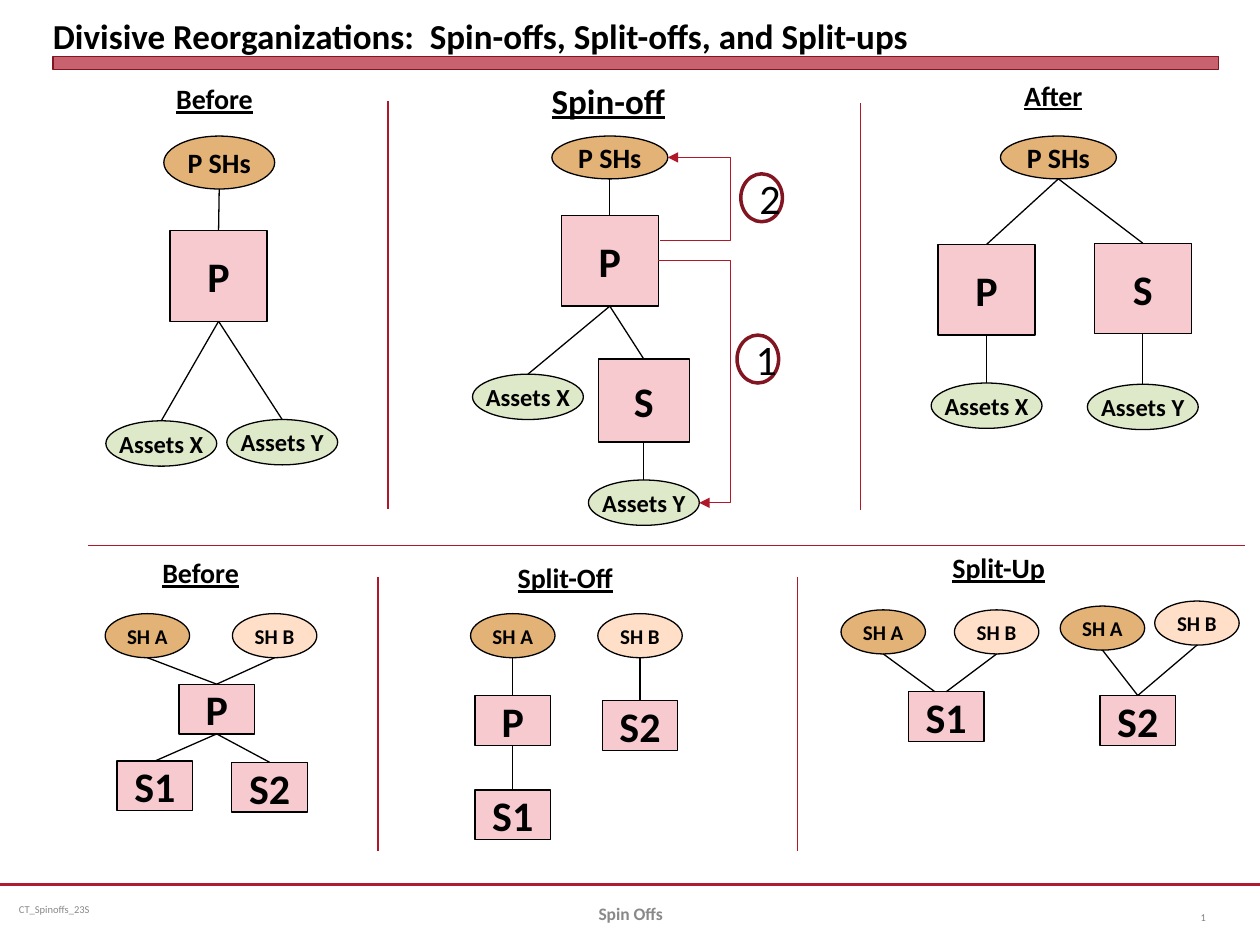
"""Build a slide comparing spin-offs, split-offs and split-ups."""
from dataclasses import dataclass
from pptx import Presentation
from pptx.dml.color import RGBColor
from pptx.enum.shapes import MSO_CONNECTOR as Con, MSO_SHAPE as Geo
from pptx.enum.text import MSO_ANCHOR as Anc, MSO_AUTO_SIZE as Fit, PP_ALIGN as Al
from pptx.oxml.ns import qn
from pptx.util import Inches, Pt
from lxml.etree import SubElement as Sub


@dataclass(frozen=True)
class Theme:
    font: str = "Calibri"
    ink: str = "000000"
    gray: str = "898989"
    page: str = "808080"
    red: str = "B01C2E"
    rule: str = "B0182A"
    dark: str = "821522"
    pink: str = "F7CAD0"
    green: str = "DEE9C9"
    tan: str = "E3B276"
    peach: str = "FFDFC8"
    big: int = 24
    title: int = 20
    head: int = 16
    asset: int = 14
    small: int = 12
    foot: int = 10
    tiny: int = 6
    thin: float = 0.75
    base: float = 1.25
    ring: float = 2


T = Theme()
COLS, ROWS = 100, 75

KINDS = {
    "firm": (Geo.RECTANGLE, 7.7, 7.2, T.pink, T.big),
    "sub": (Geo.RECTANGLE, 7.2, 6.6, T.pink, T.big),
    "box": (Geo.RECTANGLE, 6, 3.95, T.pink, T.big),
    "asset": (Geo.OVAL, 8.8, 3.6, T.green, T.asset),
    "group": (Geo.OVAL, 8.8, 4.2, T.tan, T.head),
    "owner": (Geo.OVAL, 9.2, 3.4, T.tan, T.head),
    "a": (Geo.OVAL, 6.7, 3.5, T.tan, T.small),
    "b": (Geo.OVAL, 6.7, 3.5, T.peach, T.small),
}

PANELS = [
    (("Before", 13, 6, 8.2, T.head),
     [("group", "P SHs", 17.4, 10.8), ("firm", "P", 17.35, 18.3),
      ("asset", "Assets X", 12.8, 33.4), ("asset", "Assets Y", 22.4, 33.3)],
     [(0, 1), (1, 2), (1, 3)]),
    (("Spin-off", 42.8, 5.8, 11.2, T.title),
     [("owner", "P SHs", 48.4, 10.8), ("firm", "P", 48.4, 17.1),
      ("asset", "Assets X", 41.9, 29.7), ("sub", "S", 51.1, 28.5),
      ("asset", "Assets Y", 51.1, 38.1)],
     [(0, 1), (1, 2), (1, 3), (3, 4)]),
    (("After", 80.3, 5.7, 6.8, T.head),
     [("owner", "P SHs", 84, 10.8), ("firm", "P", 78.3, 19.4),
      ("firm", "S", 90.7, 19.3), ("asset", "Assets X", 78.3, 30.4),
      ("asset", "Assets Y", 90.7, 30.5)],
     [(0, 1), (0, 2), (1, 3), (2, 4)]),
    (("Before", 11.9, 43.6, 8.2, T.head),
     [("a", "SH A", 11.7, 48.7), ("b", "SH B", 21.8, 48.7), ("box", "P", 17.2, 54.3),
      ("box", "S1", 12.3, 60.4), ("box", "S2", 21.4, 60.5)],
     [(0, 2), (1, 2), (2, 3), (2, 4)]),
    (("Split-Off", 40.1, 44, 9.7, T.head),
     [("a", "SH A", 40.7, 48.7), ("b", "SH B", 50.8, 48.7), ("box", "P", 40.7, 55.2),
      ("box", "S2", 50.8, 55.6), ("box", "S1", 40.7, 62.7)],
     [(0, 2), (1, 3), (2, 4)]),
    (("Split-Up", 74.6, 43.2, 9.5, T.head),
     [("a", "SH A", 70.1, 48.4), ("b", "SH B", 79.1, 48.4), ("a", "SH A", 87.5, 48.1),
      ("b", "SH B", 95, 47.7), ("box", "S1", 75.1, 54.9), ("box", "S2", 90.3, 55.2)],
     [(0, 4, -0.9), (1, 4), (2, 5), (3, 5)]),
]

RULES = [
    (7, 43.3, 98.8, 43.3), (30.8, 8, 30.8, 40.4), (68.3, 8.2, 68.3, 40.5),
    (30, 45.8, 30, 67.5), (63.3, 45.8, 63.3, 67.5),
]
STEPS = [
    ("1", 58.5, 26.6, (52.2, 20.7, 55.5, 39.9)),
    ("2", 58.8, 13.8, (52.4, 19.1, 53, 12.5)),
]
TURN = 58

deck = Presentation()
deck.slide_width, deck.slide_height = Inches(10), Inches(7.5)
slide = deck.slides.add_slide(deck.slide_layouts[6])
pool = slide.shapes


def grid(x, y):
    return round(deck.slide_width * x / COLS), round(deck.slide_height * y / ROWS)


def write(shape, text, size, color=T.ink, bold=True, line=False, al=Al.CENTER,
          anc=Anc.MIDDLE, wrap=False):
    frame = shape.text_frame
    frame.word_wrap, frame.vertical_anchor = wrap, anc
    para = frame.paragraphs[0]
    para.text, para.alignment = text, al
    font = para.font
    font.name, font.size, font.bold, font.underline = T.font, Pt(size), bold, line
    font.color.rgb = RGBColor.from_string(color)
    return frame


def label(text, x, y, w, h, size, **look):
    return write(pool.add_textbox(*grid(x, y), *grid(w, h)), text, size, **look)


def draw(geo, x, y, w, h, fill, edge=T.ink, width=T.thin):
    shape = pool.add_shape(geo, *grid(x, y), *grid(w, h))
    shape.shadow.inherit = False
    if fill:
        shape.fill.solid()
        shape.fill.fore_color.rgb = RGBColor.from_string(fill)
    else:
        shape.fill.background()
    shape.line.color.rgb = RGBColor.from_string(edge)
    shape.line.width = Pt(width)
    return shape


def link(x1, y1, x2, y2, color=T.ink, width=T.thin, kind=Con.STRAIGHT):
    con = pool.add_connector(kind, *grid(x1, y1), *grid(x2, y2))
    con.line.color.rgb = RGBColor.from_string(color)
    con.line.width = Pt(width)
    Sub(con._element.spPr, qn("a:effectLst"))
    return con


def elbow(x1, y1, x2, y2):
    con = link(x1, y1, x2, y2, T.rule, kind=Con.ELBOW)
    props = con._element.spPr
    bend = round((TURN - x1) / (x2 - x1) * 100000)
    guides = props.find(qn("a:prstGeom")).get_or_add_avLst()
    Sub(guides, qn("a:gd"), name="adj1", fmla=f"val {bend}")
    Sub(props.find(qn("a:ln")), qn("a:tailEnd"), type="triangle")


def panel(head, nodes, links):
    text, x, y, w, size = head
    frame = label(text, x, y, w, size * 0.23, size, line=True, al=Al.LEFT, anc=Anc.TOP)
    frame.auto_size = Fit.SHAPE_TO_FIT_TEXT
    for kind, text, mid, top in nodes:
        geo, w, h, fill, size = KINDS[kind]
        write(draw(geo, mid - w / 2, top, w, h, fill), text, size)
    for start, end, *shift in links:
        kind, _, x1, y1 = nodes[start]
        _, _, x2, y2 = nodes[end]
        link(x1, y1 + KINDS[kind][2], x2 + sum(shift), y2)


link(0, 70.2, COLS, 70.2, T.red, T.base)
bar = draw(Geo.RECTANGLE, 4.2, 4.5, 92.5, 1, T.red, T.dark, 0)
Sub(bar.fill._xPr.find(qn("a:solidFill"))[0], qn("a:alpha"), val="69000")
name = label("Divisive Reorganizations:  Spin-offs, Split-offs, and Split-ups",
             4.2, 0.5, 92.5, 4, T.title, al=Al.LEFT, anc=Anc.BOTTOM, wrap=True)
name.margin_left = name.margin_right = name.margin_top = name.margin_bottom = 0
code = label("CT_Spinoffs_23S", 0.8, 70.2, 25.8, 4, T.tiny, color=T.gray,
             bold=False, al=Al.LEFT, wrap=True)
code.margin_left = code.margin_right = Inches(0.07)
label("1", 91.7, 70.8, 5, 4, T.tiny, color=T.page, bold=False, al=Al.RIGHT, wrap=True)
label("Spin Offs", 34.2, 70.5, 31.7, 4, T.foot, color=T.gray, wrap=True)

for part in PANELS:
    panel(*part)
for ends in RULES:
    link(*ends, T.rule)
for text, x, y, ends in STEPS:
    elbow(*ends)
    ring = draw(Geo.OVAL, x, y, 3.3, 3.8, None, T.dark, T.ring)
    write(ring, text, T.big, bold=False, wrap=True)

deck.save("out.pptx")
